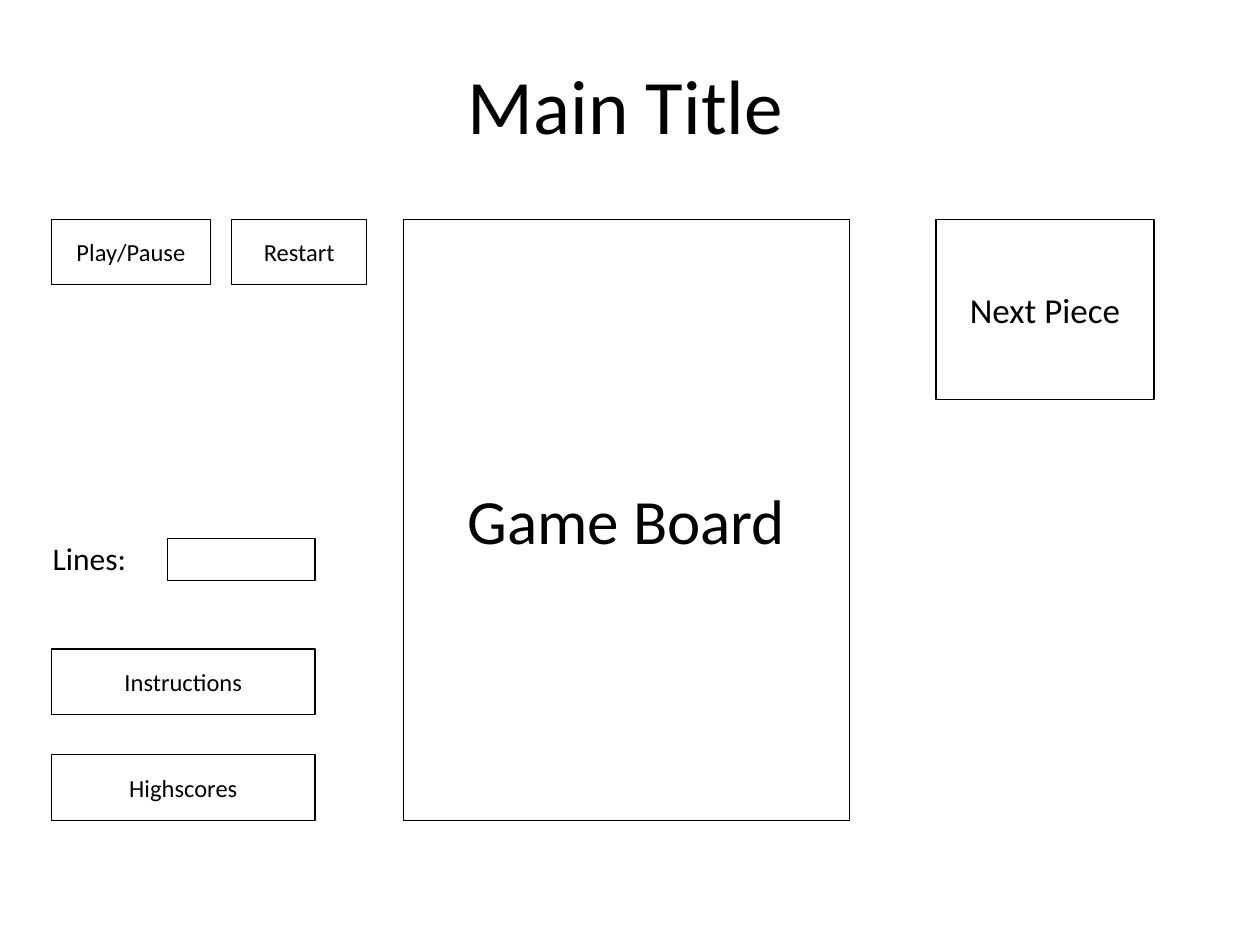
from pptx import Presentation
from pptx.dml.color import RGBColor
from pptx.enum import shapes, text
from pptx.util import Inches, Pt

FONT = "Calibri"
INK = "000000"


def color(hex_value):
    return RGBColor.from_string(hex_value)


def write(shape, content, size=14, align=text.PP_ALIGN.CENTER, wrap=True,
          auto_size=text.MSO_AUTO_SIZE.NONE, anchor=text.MSO_ANCHOR.MIDDLE):
    frame = shape.text_frame
    frame.word_wrap = wrap
    frame.auto_size = auto_size
    frame.vertical_anchor = anchor
    paragraph = frame.paragraphs[0]
    paragraph.alignment = align
    run = paragraph.add_run()
    run.text = content
    run.font.name = FONT
    run.font.size = Pt(size)
    run.font.color.rgb = color(INK)


def add_box(slide, left, top, width, height, label="", size=14):
    shape = slide.shapes.add_shape(
        shapes.MSO_SHAPE.RECTANGLE,
        Inches(left), Inches(top), Inches(width), Inches(height))
    shape.shadow.inherit = False
    shape.fill.background()
    shape.line.color.rgb = color(INK)
    shape.line.width = Pt(0.75)
    if label:
        write(shape, label, size)


def add_title(slide, left, top, width, height):
    title = slide.shapes.title
    title.left, title.top = Inches(left), Inches(top)
    title.width, title.height = Inches(width), Inches(height)
    write(title, "Main Title", 44, wrap=False)


def add_playback_buttons(slide, left, top, height):
    gap = 0.17
    for label, width in (("Play/Pause", 1.26), ("Restart", 1.07)):
        add_box(slide, left, top, width, height, label)
        left += width + gap


def add_line_counter(slide, left, top, width, height):
    label_width, field_width, field_height = 0.88, 1.17, 0.33
    label = slide.shapes.add_textbox(
        Inches(left), Inches(top), Inches(label_width), Inches(height))
    write(label, "Lines:", 18, align=text.PP_ALIGN.LEFT, wrap=False,
          auto_size=text.MSO_AUTO_SIZE.SHAPE_TO_FIT_TEXT,
          anchor=text.MSO_ANCHOR.TOP)
    add_box(slide, left + width - field_width,
            top + (height - field_height) / 2 + 0.01, field_width, field_height)


def add_menu(slide, left, top, width, height):
    pitch = 0.84
    for row, label in enumerate(("Instructions", "Highscores")):
        add_box(slide, left, top + row * pitch, width, height, label)


def main():
    presentation = Presentation()
    presentation.slide_width = Inches(10)
    presentation.slide_height = Inches(7.5)
    slide = presentation.slides.add_slide(presentation.slide_layouts[5])
    margin, top, button_height = 0.41, 1.74, 0.52

    add_title(slide, 3.6, 0.4, 2.73, 0.84)

    # Board and preview
    add_box(slide, 3.2, top, 3.54, 4.77, "Game Board", 36)
    add_box(slide, 7.43, top, 1.73, 1.43, "Next Piece", 20)

    # Left column of controls
    add_playback_buttons(slide, margin, top, button_height)
    add_line_counter(slide, 0.32, 4.23, 2.18, 0.4)
    add_menu(slide, margin, 5.15, 2.09, button_height)

    presentation.save("out.pptx")


if __name__ == "__main__":
    main()
